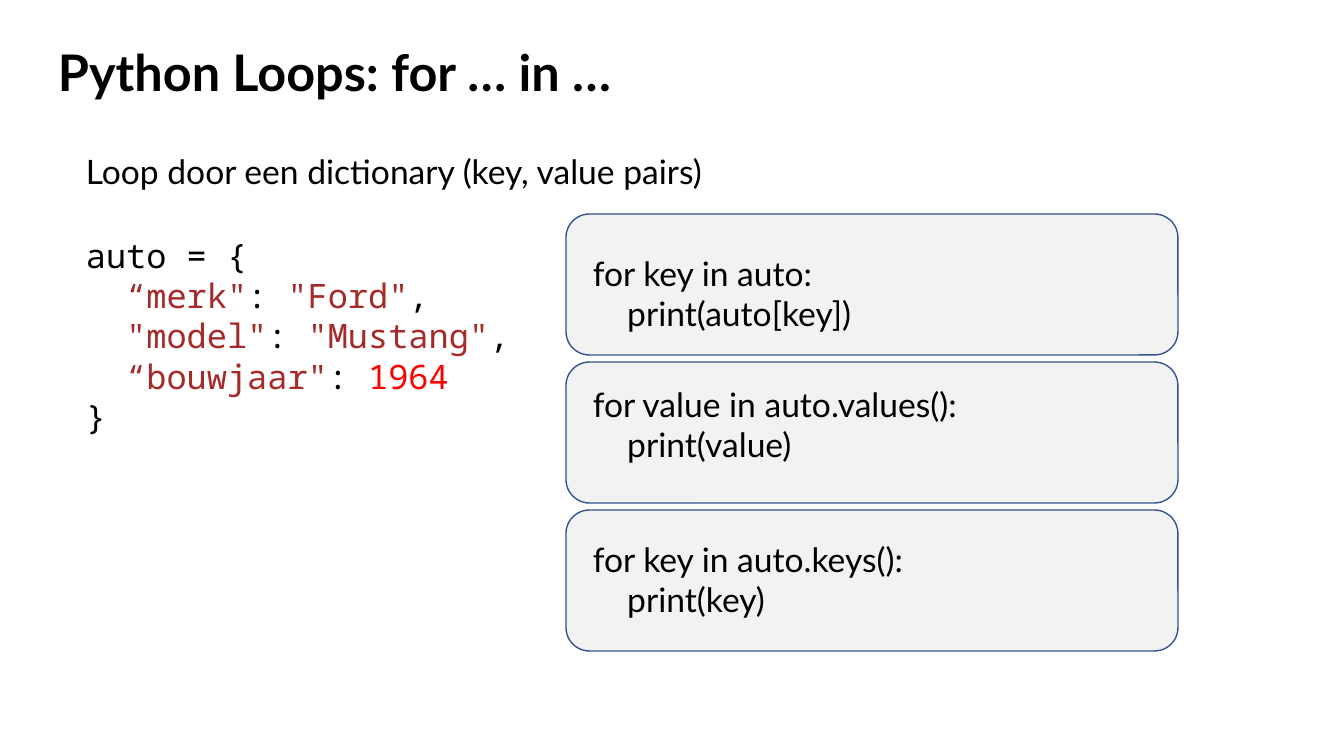
import dataclasses

import pptx
import pptx.dml.color
import pptx.enum.shapes
import pptx.util


@dataclasses.dataclass(frozen=True)
class Theme:
    text: str = "000000"
    string: str = "A52A2A"
    number: str = "FF0000"
    card: str = "F2F2F2"
    border: str = "325491"
    sans: str = "Lato"
    mono: str = "Noto Sans Mono"
    title_size: int = 36
    body_size: int = 24
    code_line: float = 28.8


THEME = Theme()
PX_PER_INCH = 100.8

DICT_CODE = [
    [("auto = {", THEME.text)],
    [("  ", THEME.text), ("“merk\"", THEME.string), (": ", THEME.text),
     ("\"Ford\"", THEME.string), (",", THEME.text)],
    [("  ", THEME.text), ("\"model\"", THEME.string), (": ", THEME.text),
     ("\"Mustang\"", THEME.string), (",", THEME.text)],
    [("  ", THEME.text), ("“bouwjaar\"", THEME.string), (": ", THEME.text),
     ("1964", THEME.number)],
    [("}", THEME.text)],
]

# Loop code with the offset of its text from the top of the card
LOOPS = [
    (34, ["for key in auto:", "    print(auto[key])"]),
    (17, ["for value in auto.values():", "    print(value)"]),
    (24, ["for key in auto.keys():", "    print(key)"]),
]


def px(n):
    return pptx.util.Emu(round(n * 914400 / PX_PER_INCH))


def rgb(value):
    return pptx.dml.color.RGBColor.from_string(value)


def add_run(p, text, color=THEME.text, font=THEME.sans,
            size=THEME.body_size, bold=False):
    r = p.add_run()
    r.text = text
    r.font.name = font
    r.font.size = pptx.util.Pt(size)
    r.font.bold = bold
    r.font.color.rgb = rgb(color)


def add_text_box(s, left, top, width, height):
    tf = s.shapes.add_textbox(px(left), px(top), px(width), px(height)).text_frame
    tf.word_wrap = True
    return tf


def add_code(tf, lines):
    p = tf.add_paragraph()
    p.space_before = pptx.util.Pt(31)
    p.line_spacing = pptx.util.Pt(THEME.code_line)
    for i, line in enumerate(lines):
        if i:
            p.add_line_break()
        for text, color in line:
            add_run(p, text, color, THEME.mono)


def add_card(s, left, top, width, height):
    sp = s.shapes.add_shape(
        pptx.enum.shapes.MSO_SHAPE.ROUNDED_RECTANGLE,
        px(left), px(top), px(width), px(height))
    sp.shadow.inherit = False
    sp.fill.solid()
    sp.fill.fore_color.rgb = rgb(THEME.card)
    sp.line.color.rgb = rgb(THEME.border)
    sp.line.width = pptx.util.Pt(1)


def add_loop_text(s, left, top, lines):
    tf = add_text_box(s, left, top, 481, 92)
    for i, line in enumerate(lines):
        p = tf.add_paragraph() if i else tf.paragraphs[0]
        add_run(p, line)


def main():
    prs = pptx.Presentation()
    prs.slide_width, prs.slide_height = px(1344), px(756)
    s = prs.slides.add_slide(prs.slide_layouts[6])

    # Title
    tf = add_text_box(s, 48, 36, 857, 71)
    add_run(tf.paragraphs[0], "Python Loops: for … in …",
            size=THEME.title_size, bold=True)

    # Cards, evenly stacked
    tops = [214 + 148 * i for i in range(len(LOOPS))]
    for top in tops:
        add_card(s, 566, top, 612, 141)

    # Introduction and dictionary
    tf = add_text_box(s, 76, 146, 1118, 295)
    add_run(tf.paragraphs[0], "Loop door een dictionary (key, value pairs)")
    add_code(tf, DICT_CODE)

    # Loop examples
    for top, (offset, lines) in zip(tops, LOOPS):
        add_loop_text(s, 583, top + offset, lines)

    prs.save("out.pptx")


if __name__ == "__main__":
    main()
